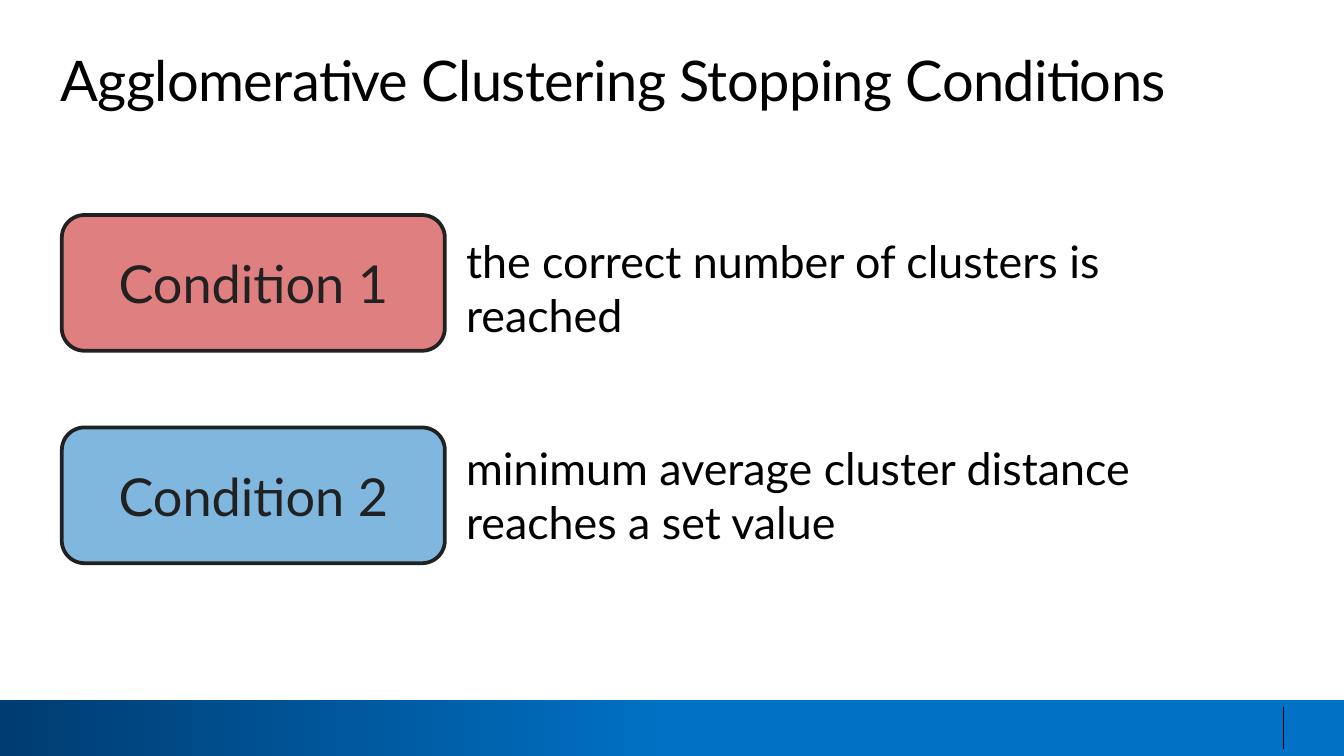
from pptx import Presentation
from pptx.dml.color import RGBColor
from pptx.enum.shapes import MSO_CONNECTOR, MSO_SHAPE
from pptx.enum.text import MSO_ANCHOR, MSO_AUTO_SIZE, PP_ALIGN
from pptx.oxml.ns import qn
from pptx.util import Pt
from lxml import etree

RECTANGLE, ROUNDED = MSO_SHAPE.RECTANGLE, MSO_SHAPE.ROUNDED_RECTANGLE
STRAIGHT = MSO_CONNECTOR.STRAIGHT
MIDDLE, TOP = MSO_ANCHOR.MIDDLE, MSO_ANCHOR.TOP
CENTER, LEFT = PP_ALIGN.CENTER, PP_ALIGN.LEFT
FIT_SHAPE = MSO_AUTO_SIZE.SHAPE_TO_FIT_TEXT

COLORS = {
    "text": "000000",
    "outline": "212121",
    "navy": "003C71",
    "blue": "0071C5",
    "red label": "C00000",
    "blue label": "0070C0",
}
CONDITIONS = [
    ("Condition 1", "red label", 115.2, "the correct number of clusters is reached", 121.7, 415.4),
    ("Condition 2", "blue label", 229, "minimum average cluster distance reaches a set value", 232.6, 406.1),
]


class SlideBuilder:
    """Draws styled elements on the current slide."""

    font = "Lato"

    def __init__(self, page):
        self.page = page

    def color(self, name):
        return RGBColor.from_string(COLORS[name])

    def fill_text(self, shape, text, size, color="text", align=LEFT, spacing=None, **frame_format):
        frame = shape.text_frame
        for name, value in {"word_wrap": True, **frame_format}.items():
            setattr(frame, name, value)
        para = frame.paragraphs[0]
        para.alignment = align
        span = para.add_run()
        span.text = text
        for name, value in {"name": self.font, "size": Pt(size)}.items():
            setattr(span.font, name, value)
        span.font.color.rgb = self.color(color)
        if spacing is not None:
            span._r.get_or_add_rPr().set("spc", str(round(spacing * 100)))

    def text(self, bounds, text, size, **text_format):
        box = self.page.shapes.add_textbox(*map(Pt, bounds))
        self.fill_text(box, text, size, auto_size=FIT_SHAPE, vertical_anchor=TOP, **text_format)

    def label(self, bounds, text, fill):
        box = self.page.shapes.add_shape(ROUNDED, *map(Pt, bounds))
        box.shadow.inherit = False
        box.fill.solid()
        box.fill.fore_color.rgb = self.color(fill)
        fill_color = box._element.spPr.find(qn("a:solidFill")).find(qn("a:srgbClr"))
        etree.SubElement(fill_color, qn("a:alpha")).set("val", "50000")
        box.line.color.rgb = self.color("outline")
        box.line.width = Pt(2)
        self.fill_text(box, text, 28, color="outline", align=CENTER, vertical_anchor=MIDDLE)

    def gradient_bar(self, bounds, stops):
        bar = self.page.shapes.add_shape(RECTANGLE, *map(Pt, bounds))
        bar.shadow.inherit = False
        bar.line.fill.background()
        bar.fill.gradient()
        bar.fill.gradient_angle = 0
        for stop, (position, color) in zip(bar.fill.gradient_stops, stops):
            stop.position = position
            stop.color.rgb = self.color(color)

    def line(self, ends, color, width):
        rule = self.page.shapes.add_connector(STRAIGHT, *map(Pt, ends))
        rule.line.color.rgb = self.color(color)
        rule.line.width = Pt(width)
        etree.SubElement(rule._element.spPr, qn("a:effectLst"))


def main():
    deck = Presentation()
    deck.slide_width, deck.slide_height = Pt(720), Pt(405)
    builder = SlideBuilder(deck.slides.add_slide(deck.slide_layouts[6]))

    builder.gradient_bar((0, 375, 720, 30), [(0, "navy"), (0.5, "blue")])
    builder.line((687.6, 378.7, 687.6, 401.5), "text", 0.75)
    margins = dict.fromkeys(("margin_left", "margin_top", "margin_right", "margin_bottom"), 0)
    builder.text((32.4, 24.5, 664.6, 36), "Agglomerative Clustering Stopping Conditions", 30,
                 spacing=-0.3, **margins)
    for name, fill, label_top, meaning, meaning_top, meaning_width in CONDITIONS:
        builder.label((33.1, label_top, 205.2, 72.7), name, fill)
        builder.text((242.6, meaning_top, meaning_width, 65.5), meaning, 24)

    deck.save("out.pptx")


if __name__ == "__main__":
    main()
